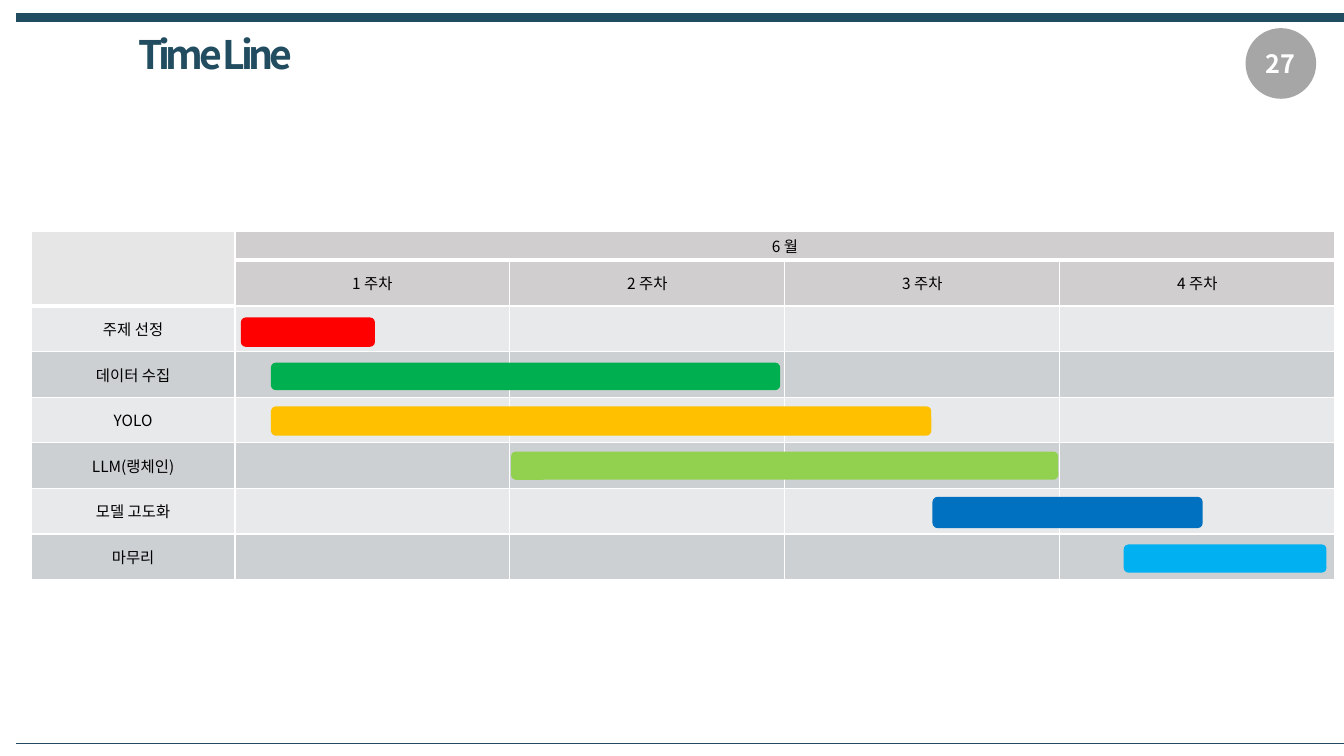
from dataclasses import dataclass

from pptx import Presentation
from pptx import util as u
from pptx.dml.color import RGBColor
from pptx.enum import shapes, text
from pptx.oxml import parse_xml
from pptx.oxml.ns import nsdecls
from lxml import etree
from pptx.oxml.ns import qn


@dataclass(frozen=True)
class Theme:
    """Colours, font and type sizes of the slide."""
    font: str = "Noto Sans CJK KR"
    navy: str = "224D60"
    white: str = "FFFFFF"
    black: str = "000000"
    badge: str = "A6A6A6"
    corner: str = "E7E6E6"
    header: str = "D0CECE"
    bands: tuple = ("E8E9EA", "CDD0D2")
    title_size: int = 28
    badge_size: int = 18
    cell_size: int = 11


THEME = Theme()
WEEKS = ["1 주차", "2 주차", "3 주차", "4 주차"]
TASKS = [
    ("주제 선정", "FF0000", (6.07, 8.0, 3.38, 0.74)),
    ("데이터 수집", "00B050", (6.83, 9.14, 12.83, 0.69)),
    ("YOLO", "FFC000", (6.83, 10.24, 16.64, 0.74)),
    ("LLM(랭체인)", "92D050", (12.88, 11.38, 13.79, 0.71)),
    ("모델 고도화", "0070C0", (23.5, 12.52, 6.81, 0.79)),
    ("마무리", "00B0F0", (28.32, 13.72, 5.11, 0.71)),
]


def cm(*lengths):
    """Turn numbers into centimetre lengths."""
    return [u.Cm(length) for length in lengths]


def write(tf, content, size, color, bold=False, align=None, spacing=None):
    """Write one formatted run into a text frame."""
    p = tf.paragraphs[0]
    p.alignment = align
    r = p.add_run()
    r.text = content
    r.font.name = THEME.font
    r.font.size = u.Pt(size)
    r.font.bold = bold
    r.font.color.rgb = RGBColor.from_string(color)
    rpr = r.font._element
    etree.SubElement(rpr, qn("a:ea")).set("typeface", THEME.font)
    if spacing is not None:
        rpr.set("spc", str(spacing * 100))


def add_rule(s, y, width):
    """Draw a horizontal rule across the slide."""
    line = s.shapes.add_connector(shapes.MSO_CONNECTOR.STRAIGHT, *cm(0.41, y, 33.91, y))
    line.line.color.rgb = RGBColor.from_string(THEME.navy)
    line.line.width = u.Pt(width)
    etree.SubElement(line._element.spPr, qn("a:effectLst"))


def add_title(s, content):
    """Add the slide title."""
    tf = s.shapes.add_textbox(*cm(3.23, 0.76, 23.44, 1.45)).text_frame
    tf.word_wrap = True
    tf.margin_top = tf.margin_bottom = 0
    write(tf, content, THEME.title_size, THEME.navy, bold=True, spacing=-3)


def add_block(s, kind, box, color):
    """Add a filled shape without outline or shadow."""
    sp = s.shapes.add_shape(kind, *cm(*box))
    sp.shadow.inherit = False
    sp.fill.solid()
    sp.fill.fore_color.rgb = RGBColor.from_string(color)
    sp.line.fill.background()
    return sp


def add_badge(s, number):
    """Add the round page number."""
    sp = add_block(s, shapes.MSO_SHAPE.OVAL, (31.39, 0.71, 1.78, 1.78), THEME.badge)
    tf = sp.text_frame
    tf.margin_left = tf.margin_right = 0
    tf.vertical_anchor = text.MSO_ANCHOR.MIDDLE
    write(tf, number, THEME.badge_size, THEME.white, bold=True, align=text.PP_ALIGN.CENTER)


def style_cell(cell, color, content="", bottom=1):
    """Set fill, white borders and centred text of a cell."""
    tcpr = cell._tc.get_or_add_tcPr()
    for side, width in (("L", 1), ("R", 1), ("T", 1), ("B", bottom)):
        tcpr.append(parse_xml(
            f'<a:ln{side} {nsdecls("a")} w="{u.Pt(width)}"><a:solidFill>'
            f'<a:srgbClr val="{THEME.white}"/></a:solidFill></a:ln{side}>'))
    cell.fill.solid()
    cell.fill.fore_color.rgb = RGBColor.from_string(color)
    cell.margin_top = cell.margin_bottom = u.Cm(0.07)
    cell.vertical_anchor = text.MSO_ANCHOR.MIDDLE
    if content:
        write(cell.text_frame, content, THEME.cell_size, THEME.black,
              align=text.PP_ALIGN.CENTER)


def add_schedule(s):
    """Add the table of weeks and tasks."""
    rows, cols = len(TASKS) + 2, len(WEEKS) + 1
    table = s.shapes.add_table(rows, cols, *cm(0.79, 5.84, 32.85, 8.77)).table
    table.first_row = table.horz_banding = False
    for i, column in enumerate(table.columns):
        column.width = u.Cm(6.93 if i else 5.13)
    for i, row in enumerate(table.rows):
        row.height = u.Cm(1.15 if i else 0.72)
    table.cell(0, 0).merge(table.cell(1, 0))
    table.cell(0, 1).merge(table.cell(0, cols - 1))
    month = ["", "6 월"] + [""] * (cols - 2)
    grid = [month, [""] + WEEKS] + [[name] + [""] * len(WEEKS) for name, _, _ in TASKS]
    for i, line in enumerate(grid):
        for j, content in enumerate(line):
            if i > 1:
                color = THEME.bands[i % 2]
            else:
                color = THEME.header if j else THEME.corner
            thick = i == 0 or (i == 1 and j == 0)
            style_cell(table.cell(i, j), color, content, bottom=3 if thick else 1)


def main():
    """Build and save the timeline slide."""
    prs = Presentation()
    prs.slide_width, prs.slide_height = cm(33.87, 19.05)
    s = prs.slides.add_slide(prs.slide_layouts[6])
    add_rule(s, 0.44, 6)
    add_title(s, "Time Line")
    add_rule(s, 18.88 - 0.16, 0.25)
    add_schedule(s)
    for _, color, box in TASKS:
        add_block(s, shapes.MSO_SHAPE.ROUNDED_RECTANGLE, box, color)
    add_badge(s, "27")
    prs.save("out.pptx")


if __name__ == "__main__":
    main()
